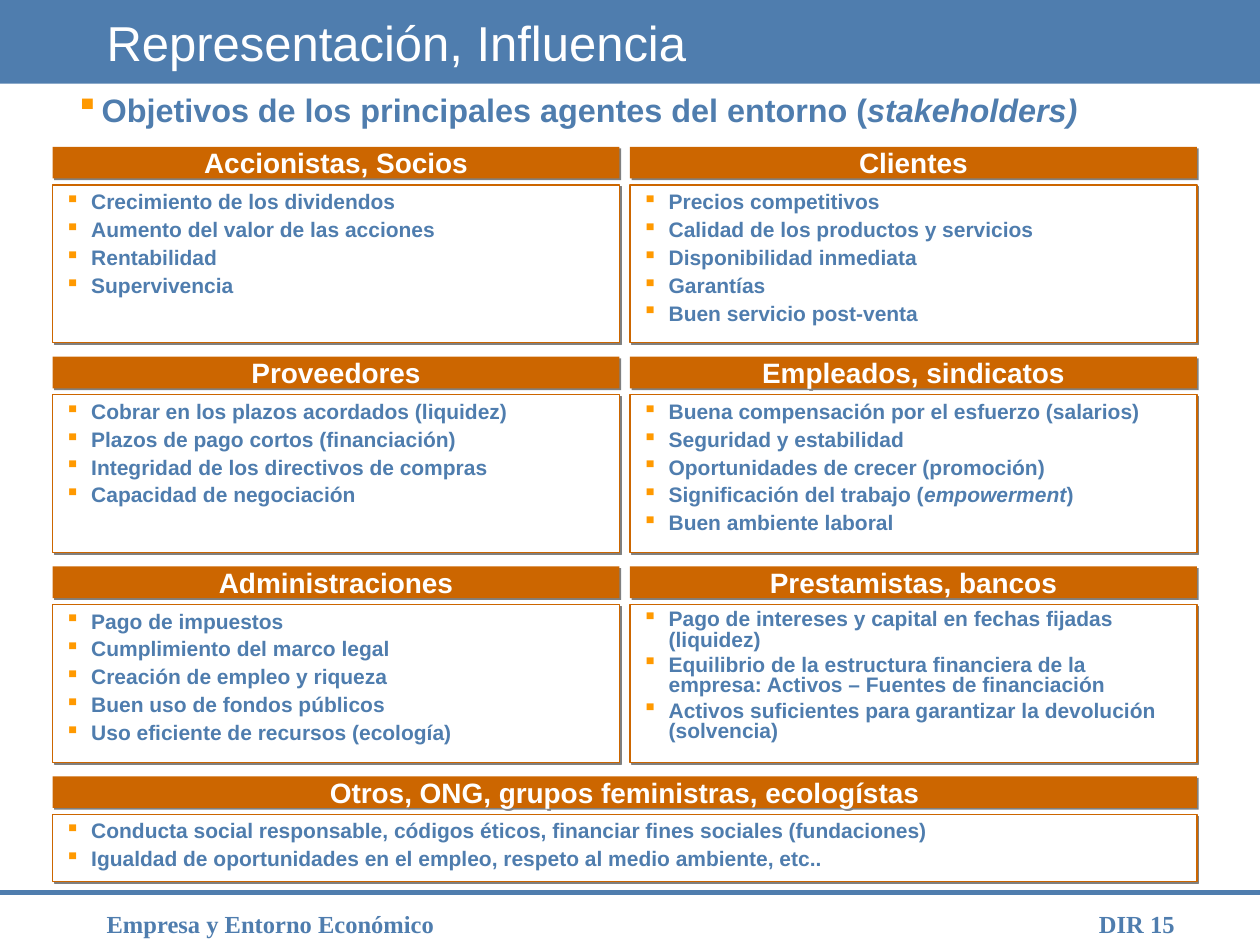
from lxml import etree
from pptx import Presentation
from pptx.dml.color import RGBColor
from pptx.enum.shapes import MSO_CONNECTOR, MSO_SHAPE
from pptx.enum.text import MSO_ANCHOR, PP_ALIGN
from pptx.oxml.ns import qn
from pptx.util import Cm, Pt

RECT, LINE = MSO_SHAPE.RECTANGLE, MSO_CONNECTOR.STRAIGHT
TOP, MIDDLE = MSO_ANCHOR.TOP, MSO_ANCHOR.MIDDLE
LEFT, CENTER, RIGHT = PP_ALIGN.LEFT, PP_ALIGN.CENTER, PP_ALIGN.RIGHT
BLUE, ORANGE, AMBER, WHITE, GREY = "4F7DAE", "CC6600", "FF9900", "FFFFFF", "808080"
SANS, SERIF = "Arial", "Times New Roman"

# Text between asterisks is italic.
TITLE = "Representación, Influencia"
TOPIC = "Objetivos de los principales agentes del entorno (*stakeholders)*"
FOOT = "Empresa y Entorno Económico"
PAGE = "DIR 15"
CARDS = [
    ("Accionistas, Socios", [
        "Crecimiento de los dividendos",
        "Aumento del valor de las acciones",
        "Rentabilidad",
        "Supervivencia"], 0.9),
    ("Clientes", [
        "Precios competitivos",
        "Calidad de los productos y servicios",
        "Disponibilidad inmediata",
        "Garantías",
        "Buen servicio post-venta"], 0.9),
    ("Proveedores", [
        "Cobrar en los plazos acordados (liquidez)",
        "Plazos de pago cortos (financiación)",
        "Integridad de los directivos de compras",
        "Capacidad de negociación"], 0.9),
    ("Empleados, sindicatos", [
        "Buena compensación por el esfuerzo (salarios)",
        "Seguridad y estabilidad",
        "Oportunidades de crecer (promoción)",
        "Significación del trabajo (*empowerment*)",
        "Buen ambiente laboral"], 0.9),
    ("Administraciones", [
        "Pago de impuestos",
        "Cumplimiento del marco legal",
        "Creación de empleo y riqueza",
        "Buen uso de fondos públicos",
        "Uso eficiente de recursos (ecología)"], 0.9),
    ("Prestamistas, bancos", [
        "Pago de intereses y capital en fechas fijadas (liquidez)",
        "Equilibrio de la estructura financiera de la empresa: "
        "Activos – Fuentes de financiación",
        "Activos suficientes para garantizar la devolución (solvencia)"], 0.8),
]
OTHERS = ("Otros, ONG, grupos feministras, ecologístas", [
    "Conducta social responsable, códigos éticos, "
    "financiar fines sociales (fundaciones)",
    "Igualdad de oportunidades en el empleo, "
    "respeto al medio ambiente, etc.."], 0.9)

# Card grid, in cm
X, Y = 1.06, 2.96
STEP_X, STEP_Y = 11.64, 4.23
CARD_W, WIDE_W = 11.43, 23.07
HEAD_H, BODY_DY = 0.64, 0.77
BODY_H, LAST_H = 3.18, 1.35


def rgb(code):
    return RGBColor.from_string(code)


def write(shape, lines, size, color, font=SANS, bold=True, align=LEFT,
          anchor=TOP, wrap=True):
    frame = shape.text_frame
    frame.word_wrap, frame.vertical_anchor = wrap, anchor
    for i, line in enumerate(lines):
        para = frame.paragraphs[0] if i == 0 else frame.add_paragraph()
        para.alignment = align
        for j, part in enumerate(line.split("*")):
            if not part:
                continue
            run = para.add_run()
            run.text = part
            face = run.font
            face.name, face.size, face.bold = font, Pt(size), bold
            face.italic = j % 2 == 1
            face.color.rgb = rgb(color)


def bullet(shape, spacing, before):
    for para in shape.text_frame.paragraphs:
        para.line_spacing, para.space_before = spacing, Pt(before)
        props = para._p.get_or_add_pPr()
        props.set("marL", str(Cm(0.53)))
        props.set("indent", str(-Cm(0.53)))
        tint = etree.SubElement(props, qn("a:buClr"))
        etree.SubElement(tint, qn("a:srgbClr"), val=AMBER)
        etree.SubElement(props, qn("a:buChar"), char="▪")


def drop(shape):
    """Give the shape a hard grey shadow to the lower right."""
    effects = shape._element.spPr.find(qn("a:effectLst"))
    cast = etree.SubElement(effects, qn("a:outerShdw"), dist=str(Pt(1.4)),
                            dir=str(45 * 60000), algn="ctr", rotWithShape="0")
    etree.SubElement(cast, qn("a:srgbClr"), val=GREY)


def block(slide, x, y, w, h, fill, edge=None):
    shape = slide.shapes.add_shape(RECT, Cm(x), Cm(y), Cm(w), Cm(h))
    shape.shadow.inherit = False
    shape.fill.solid()
    shape.fill.fore_color.rgb = rgb(fill)
    if edge:
        shape.line.color.rgb = rgb(edge)
        shape.line.width = Pt(0.75)
    else:
        shape.line.fill.background()
    return shape


def label(slide, x, y, w, h, text, size, color, **style):
    box = slide.shapes.add_textbox(Cm(x), Cm(y), Cm(w), Cm(h))
    write(box, [text], size, color, **style)
    return box


def card(slide, x, y, w, h, name, goals, spacing):
    body = block(slide, x, y + BODY_DY, w, h, WHITE, ORANGE)
    drop(body)
    write(body, goals, 12, BLUE)
    bullet(body, spacing, 3)
    head = block(slide, x, y, w, HEAD_H, ORANGE)
    drop(head)
    write(head, [name], 16, WHITE, align=CENTER, anchor=MIDDLE, wrap=False)


def main():
    deck = Presentation()
    deck.slide_width, deck.slide_height = Cm(25.4), Cm(19.05)
    slide = deck.slides.add_slide(deck.slide_layouts[6])

    block(slide, 0, 0, 25.4, 1.69, BLUE)
    rule = slide.shapes.add_connector(LINE, 0, Cm(17.99), Cm(25.4), Cm(17.99))
    rule.line.color.rgb, rule.line.width = rgb(BLUE), Pt(3)
    etree.SubElement(rule._element.spPr, qn("a:effectLst"))

    label(slide, 21.31, 18.2, 2.62, 0.64, PAGE, 14, BLUE, font=SERIF, align=RIGHT)
    label(slide, 1.9, 18.2, 11.86, 0.64, FOOT, 14, BLUE, font=SERIF)
    label(slide, 1.9, 0, 21.59, 1.69, TITLE, 28, WHITE, bold=False, anchor=MIDDLE)
    topic = label(slide, 1.27, 1.9, 22.65, 0.85, TOPIC, 18.5, BLUE)
    bullet(topic, 0.7, 5)

    for i, item in enumerate(CARDS):
        row, col = divmod(i, 2)
        card(slide, X + col * STEP_X, Y + row * STEP_Y, CARD_W, BODY_H, *item)
    card(slide, X, Y + 3 * STEP_Y, WIDE_W, LAST_H, *OTHERS)

    deck.save("out.pptx")


if __name__ == "__main__":
    main()
